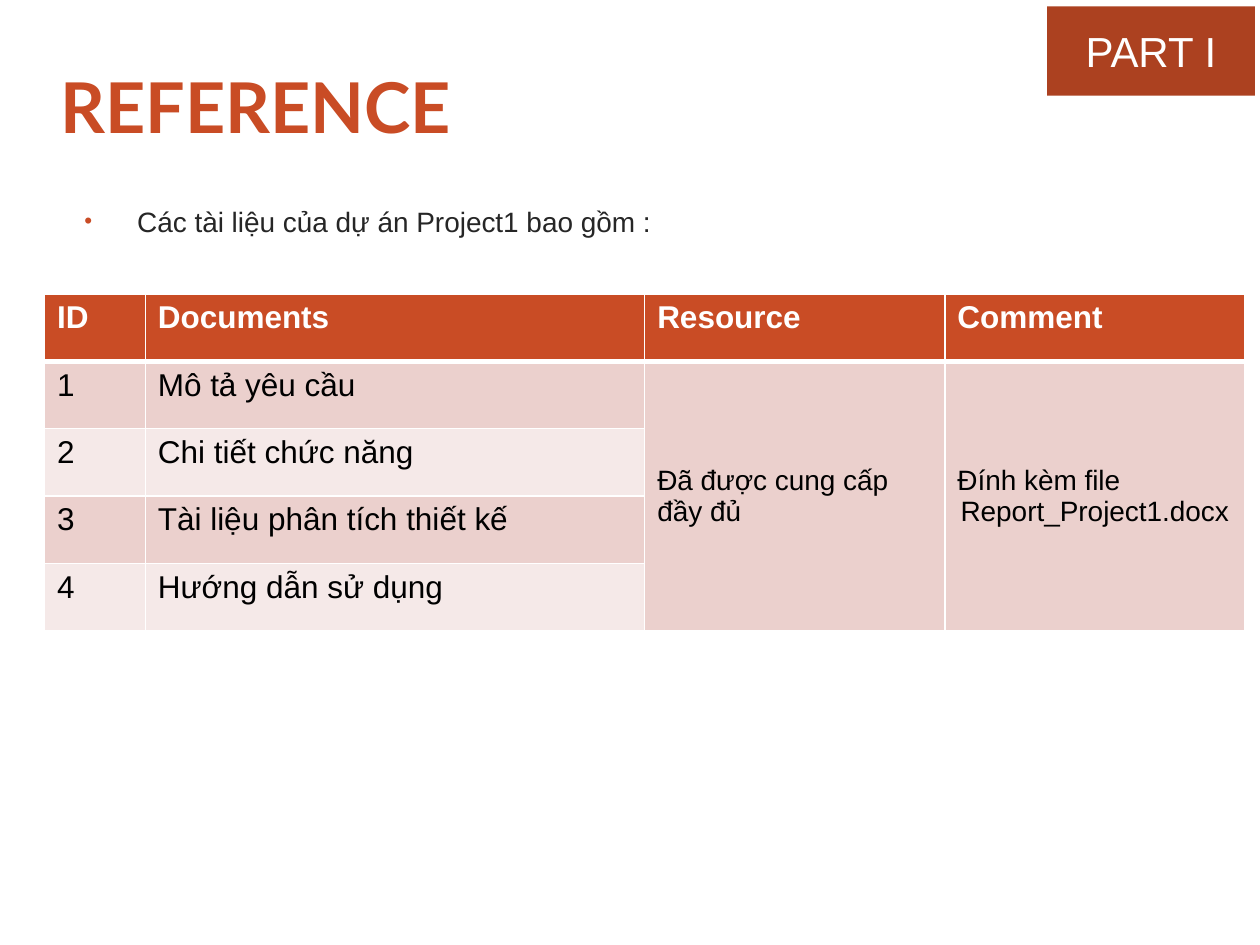
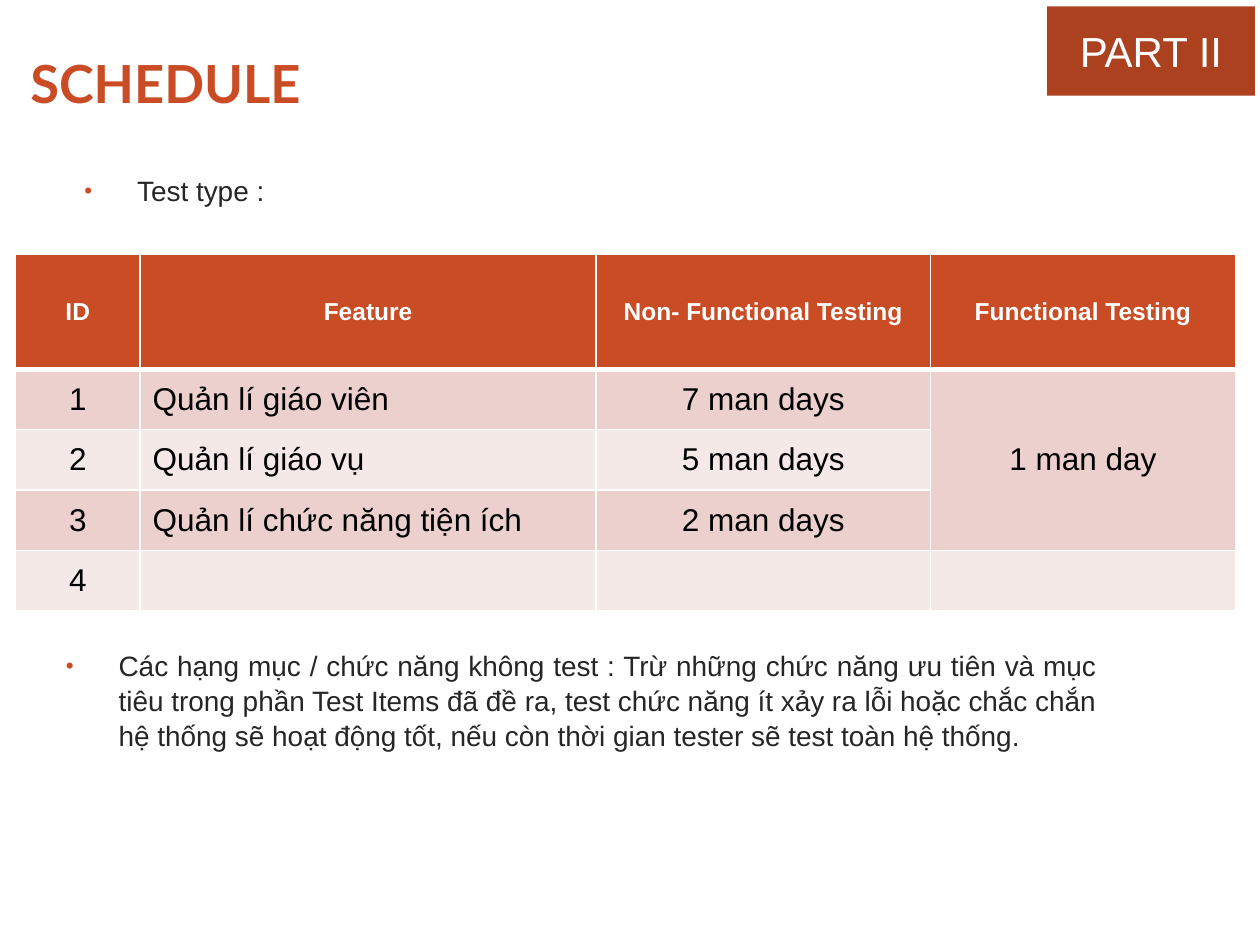
from lxml import etree
from pptx import Presentation
from pptx import util as u
from pptx.dml import color as c
from pptx.enum import shapes as s, text as t
from pptx.oxml import ns

Pt = u.Pt
LEFT, MID, JUST = t.PP_ALIGN.LEFT, t.PP_ALIGN.CENTER, t.PP_ALIGN.JUSTIFY
TOP, HALF = t.MSO_ANCHOR.TOP, t.MSO_ANCHOR.MIDDLE
HEX = {"main": "C94C25", "tag": "AC4120", "odd": "EBD0CD", "even": "F5E9E8",
       "text": "262626", "dark": "000000", "white": "FFFFFF"}


def rgb(name):
    return c.RGBColor.from_string(HEX[name])


def node(up, tag, **attrs):
    return etree.SubElement(up, ns.qn("a:" + tag), attrs)


class Deck:
    def __init__(self):
        self.prs = Presentation()
        self.prs.slide_width, self.prs.slide_height = Pt(720), Pt(540)
        self.page = None

    def run(self, para, words, size, hue, bold=False, font="Arial"):
        run = para.add_run()
        run.text = words
        run.font.name, run.font.size, run.font.bold = font, Pt(size), bold
        run.font.color.rgb = rgb(hue)

    def slide(self, words, box, size, part):
        self.page = self.prs.slides.add_slide(self.prs.slide_layouts[5])
        # Title
        title = self.page.shapes.title
        title.left, title.top, title.width, title.height = map(Pt, box)
        frame = title.text_frame
        frame.auto_size = t.MSO_AUTO_SIZE.NONE
        frame.vertical_anchor = HALF
        frame.margin_left = frame.margin_right = 0
        para = frame.paragraphs[0]
        para.alignment = LEFT
        self.indent(para, 14.4, 0)
        self.run(para, words, size, "main", True, "Lato")
        # Part tag in the corner
        tag = self.page.shapes.add_shape(
            s.MSO_SHAPE.RECTANGLE, Pt(598.3), Pt(3.6), Pt(118.8), Pt(51.1))
        tag.shadow.inherit = False
        tag.fill.solid()
        tag.fill.fore_color.rgb = rgb("tag")
        tag.line.fill.background()
        tag.text_frame.vertical_anchor = HALF
        para = tag.text_frame.paragraphs[0]
        para.alignment = MID
        self.run(para, part, 24, "white")

    def indent(self, para, left, first):
        props = para._p.get_or_add_pPr()
        props.set("marL", str(Pt(left)))
        props.set("indent", str(Pt(first)))
        return props

    def bullet(self, words, left, top, height, align=LEFT):
        box = self.page.shapes.add_textbox(Pt(left), Pt(top), Pt(608.4), Pt(height))
        box.text_frame.word_wrap = True
        para = box.text_frame.paragraphs[0]
        para.alignment = align
        para.line_spacing = 1.04
        para.space_before, para.space_after = Pt(3.2), Pt(10)
        props = self.indent(para, 35.3, -30.2)
        node(node(props, "buClr"), "srgbClr", val=HEX["main"])
        node(props, "buSzPct", val="80000")
        node(props, "buFont", typeface="Arial")
        node(props, "buChar", char="•")
        self.run(para, words, 16, "text")

    def edges(self, cell, row):
        props = cell._tc.get_or_add_tcPr()
        heavy = {(0, "B"), (1, "T")}
        for side in "LRTB":
            width = Pt(3 if (row, side) in heavy else 1)
            line = node(props, "ln" + side, w=str(width))
            node(node(line, "solidFill"), "srgbClr", val=HEX["white"])

    def table(self, left, top, cols, highs, rows, spans, head, aligns, anchor):
        """Each cell holds a string, or a list of (words, size, align)."""
        grid = self.page.shapes.add_table(
            len(rows), len(cols), Pt(left), Pt(top), Pt(sum(cols)), Pt(sum(highs))).table
        for col, width in zip(grid.columns, cols):
            col.width = Pt(width)
        for row, high in zip(grid.rows, highs):
            row.height = Pt(high)
        for col, last in spans:
            grid.cell(1, col).merge(grid.cell(last, col))
        for i, row in enumerate(rows):
            fill = "main" if i == 0 else "odd" if i % 2 else "even"
            size, hue = (head, "white") if i == 0 else (18, "dark")
            for j, item in enumerate(row):
                cell = grid.cell(i, j)
                self.edges(cell, i)
                cell.fill.solid()
                cell.fill.fore_color.rgb = rgb(fill)
                cell.vertical_anchor = anchor
                if not item:
                    continue
                if isinstance(item, str):
                    align = MID if i == 0 and anchor == HALF else aligns[j]
                    item = [(item, size, align)]
                else:
                    cell.vertical_anchor = HALF
                frame = cell.text_frame
                for k, (words, points, align) in enumerate(item):
                    para = frame.add_paragraph() if k else frame.paragraphs[0]
                    para.alignment = align
                    self.run(para, words, points, hue, i == 0)


def main():
    deck = Deck()

    # Reference
    deck.slide("REFERENCE", (20.2, 28.8, 447.8, 62.6), 40, "PART I")
    deck.bullet("Các tài liệu của dự án Project1 bao gồm :", 36, 112.3, 33.1)
    given = [("Đã được cung cấp đầy đủ", 16, LEFT)]
    file = [("Đính kèm file", 16, LEFT), ("Report_Project1.docx", 16, MID)]
    docs = [
        ("ID", "Documents", "Resource", "Comment"),
        ("1", "Mô tả yêu cầu", given, file),
        ("2", "Chi tiết chức năng", "", ""),
        ("3", "Tài liệu phân tích thiết kế", "", ""),
        ("4", "Hướng dẫn sử dụng", "", ""),
    ]
    deck.table(25.4, 168, [57.6, 285.4, 171.5, 171.5], [38.5] * 5, docs,
               [(2, 4), (3, 4)], 18, [LEFT] * 4, TOP)

    # Schedule
    deck.slide("SCHEDULE", (2.9, 25.9, 447.8, 42.5), 30, "PART II")
    deck.bullet("Test type :", 36, 95, 33.1)
    plan = [
        ("ID", "Feature", "Non- Functional Testing", "Functional Testing"),
        ("1", "Quản lí giáo viên", "7 man days", "1 man day"),
        ("2", "Quản lí giáo vụ", "5 man days", ""),
        ("3", "Quản lí chức năng tiện ích", "2 man days", ""),
        ("4", "", "", ""),
    ]
    deck.table(8.8, 145.5, [71.3, 260.6, 191, 174.3], [65.5] + [34.5] * 4, plan,
               [(3, 3)], 14, [MID, LEFT, MID, MID], HALF)
    deck.bullet("Các hạng mục / chức năng không test : Trừ những chức năng ưu tiên "
                "và mục tiêu trong phần Test Items đã đề ra, test chức năng ít xảy ra "
                "lỗi hoặc chắc chắn hệ thống sẽ hoạt động tốt, nếu còn thời gian "
                "tester sẽ test toàn hệ thống.", 25.4, 366.5, 73.4, JUST)

    deck.prs.save("out.pptx")


if __name__ == "__main__":
    main()
